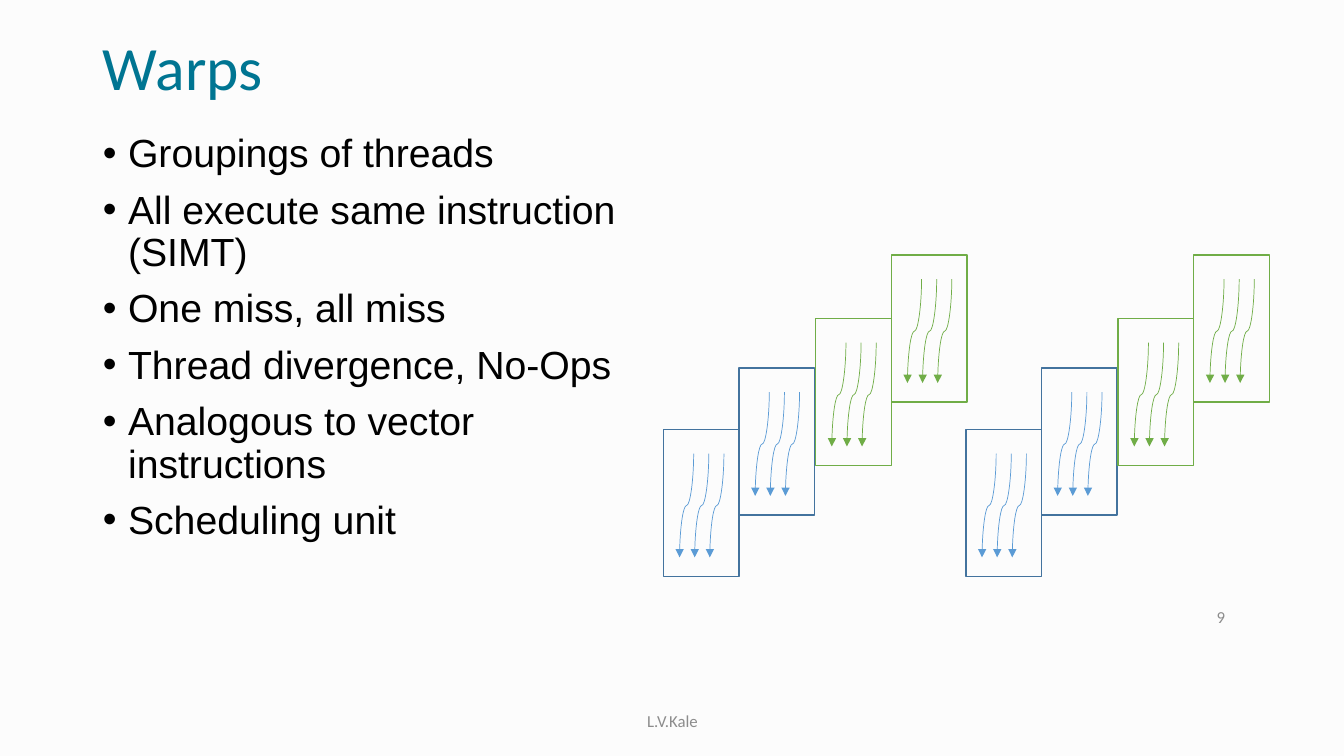
from pptx import Presentation
from pptx.dml.color import RGBColor
from pptx.enum.shapes import MSO_CONNECTOR, MSO_SHAPE
from pptx.enum.text import MSO_ANCHOR, MSO_AUTO_SIZE, PP_ALIGN
from pptx.oxml.ns import qn
from pptx.util import Inches, Pt
from lxml.etree import SubElement

POINTS = [
    "Groupings of threads",
    "All execute same instruction (SIMT)",
    "One miss, all miss",
    "Thread divergence, No-Ops",
    "Analogous to vector instructions",
    "Scheduling unit",
]
BLUE = ("43739E", "5B9BD5")
GREEN = ("70AD47", "70AD47")
STEPS = [(0, 4.26, BLUE), (0.75, 3.65, BLUE), (1.51, 3.16, GREEN), (2.26, 2.53, GREEN)]
STARTS = [6.58, 9.58]
THREADS = [0.6, 0.45, 0.3]
DROP, SWAY = 1.03, 0.14


def paint(target, color):
    target.rgb = RGBColor.from_string(color)


def style(para, size, face, color):
    for run in para.runs:
        run.font.size = Pt(size)
        run.font.name = face
        paint(run.font.color, color)


def place(shape, left, top, width, height):
    shape.left, shape.top = Inches(left), Inches(top)
    shape.width, shape.height = Inches(width), Inches(height)


def add_title(slide, text):
    title = slide.shapes.title
    place(title, 0.92, 0.28, 11.5, 0.84)
    frame = title.text_frame
    frame.text = text
    frame.auto_size = MSO_AUTO_SIZE.NONE
    frame.vertical_anchor = MSO_ANCHOR.MIDDLE
    para = frame.paragraphs[0]
    para.alignment = PP_ALIGN.LEFT
    para.line_spacing = 0.9
    style(para, 44, "Calibri", "007592")


def add_list(slide, items):
    body = slide.placeholders[1]
    place(body, 0.92, 1.28, 5.67, 5.48)
    frame = body.text_frame
    frame.text = "\n".join(items)
    frame.auto_size = MSO_AUTO_SIZE.NONE
    for index, para in enumerate(frame.paragraphs):
        props = para._p.get_or_add_pPr()
        props.set("marL", str(Inches(0.25)))
        props.set("indent", str(Inches(-0.25)))
        SubElement(props, qn("a:buFont")).set("typeface", "Arial")
        SubElement(props, qn("a:buChar")).set("char", "•")
        para.line_spacing = 0.9
        para.space_before = Pt(10 if index else 0)
        style(para, 28, "Arial", "000000")


def add_note(slide, text, left, top, width, align):
    box = slide.shapes.add_textbox(Inches(left), Inches(top), Inches(width), Inches(0.4))
    frame = box.text_frame
    frame.word_wrap = True
    frame.vertical_anchor = MSO_ANCHOR.MIDDLE
    frame.text = text
    frame.paragraphs[0].alignment = align
    style(frame.paragraphs[0], 12, "Calibri", "8C8C8C")


def add_thread(group, right, top, color):
    left = right - (SWAY + DROP) / 2
    upper = top + (DROP - SWAY) / 2
    line = group.shapes.add_connector(
        MSO_CONNECTOR.CURVE, Inches(left), Inches(upper),
        Inches(left + DROP), Inches(upper + SWAY))
    line.line.width = Pt(0.5)
    paint(line.line.color, color)
    props = line._element.spPr
    props.find(qn("a:xfrm")).set("rot", str(90 * 60000))
    SubElement(props.find(qn("a:ln")), qn("a:tailEnd")).set("type", "triangle")
    SubElement(props, qn("a:effectLst"))


def add_warp(slide, left, top, colors):
    edge, thread = colors
    group = slide.shapes.add_group_shape()
    for shift in THREADS:
        add_thread(group, left + shift, top + 0.24, thread)
    box = group.shapes.add_shape(
        MSO_SHAPE.RECTANGLE, Inches(left), Inches(top), Inches(0.75), Inches(1.46))
    box.shadow.inherit = False
    box.fill.background()
    box.line.width = Pt(1)
    paint(box.line.color, edge)


def main():
    deck = Presentation()
    deck.slide_width, deck.slide_height = Inches(13.33), Inches(7.5)
    slide = deck.slides.add_slide(deck.slide_layouts[1])
    back = slide.background.fill
    back.solid()
    paint(back.fore_color, "FCFCFC")
    add_title(slide, "Warps")
    add_list(slide, POINTS)
    add_note(slide, "L.V.Kale", 4.42, 6.95, 4.5, PP_ALIGN.CENTER)
    add_note(slide, "9", 9.25, 5.92, 3, PP_ALIGN.RIGHT)
    for start in STARTS:
        for shift, top, colors in STEPS:
            add_warp(slide, start + shift, top, colors)
    deck.save("out.pptx")


if __name__ == "__main__":
    main()
